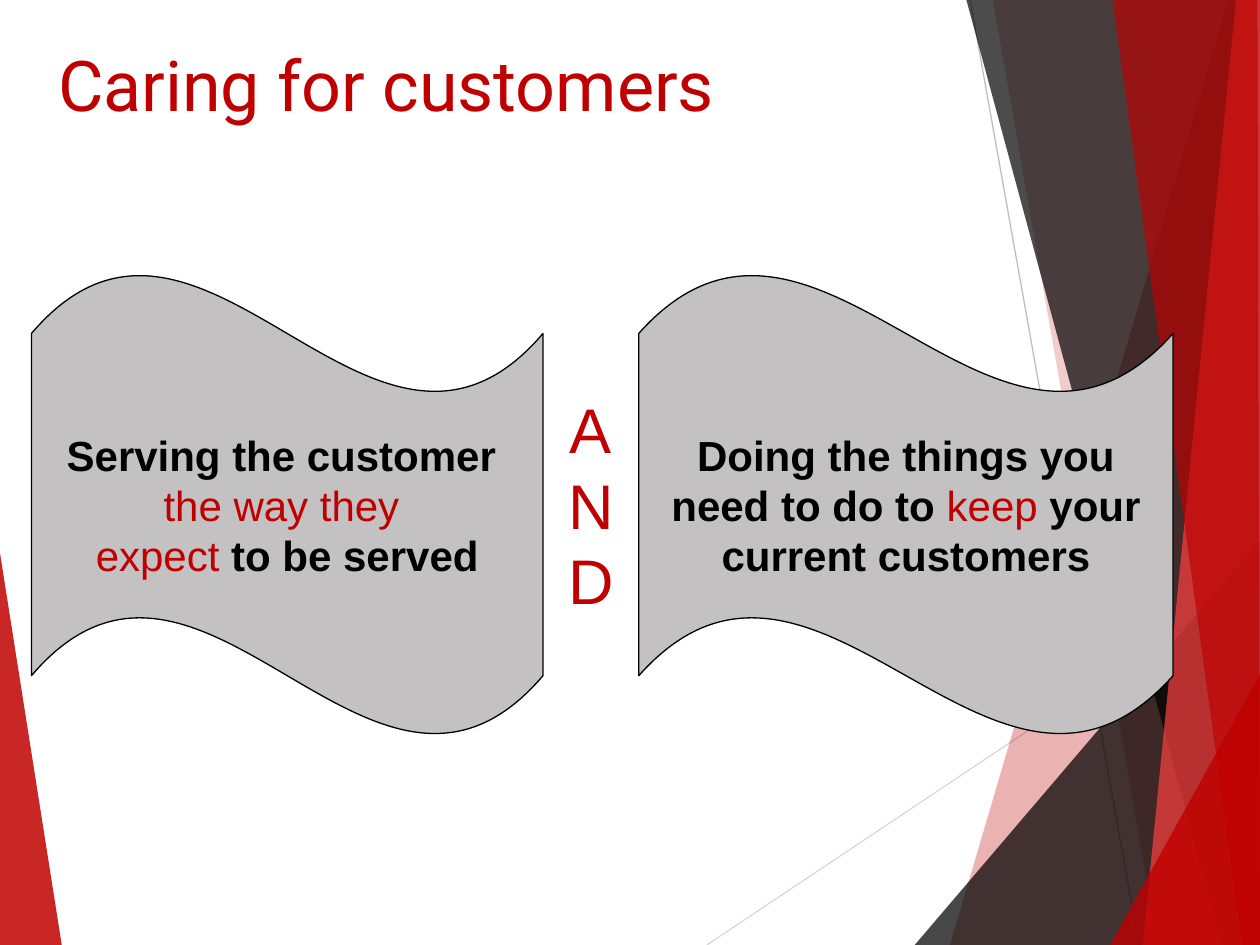
from dataclasses import dataclass

import pptx
import pptx.dml.color
import pptx.enum.shapes
import pptx.enum.text
import pptx.oxml
import pptx.oxml.ns
import pptx.util
from pptx.dml.color import RGBColor
from pptx.util import Inches

RED = RGBColor(0xC0, 0x00, 0x00)
BRIGHT_RED = RGBColor(0xFF, 0x40, 0x40)
BLACK = RGBColor(0x00, 0x00, 0x00)
SILVER = RGBColor(0xC3, 0xC1, 0xC1)
LIGHT_GREY = RGBColor(0xD9, 0xD9, 0xD9)
MID_GREY = RGBColor(0xBF, 0xBF, 0xBF)
W, H = 10, 7.5


@dataclass
class Facet:
    points: list[tuple[float, float]]
    color: RGBColor
    opacity: int


@dataclass
class Ray:
    start: tuple[float, float]
    end: tuple[float, float]
    color: RGBColor


@dataclass
class Run:
    text: str
    accent: bool = False


@dataclass
class Banner:
    left: float
    width: float
    paragraphs: list[list[Run]]
    wrap: bool


LEFT_FACET = Facet([(0, 4.39), (0.49, H), (0, H)], RED, 85)
RAYS = [
    Ray((5.61, H), (W, 4.57), LIGHT_GREY),
    Ray((7.7, 0), (9.04, H), MID_GREY),
]
RIGHT_FACETS = [
    Facet([(9.75, 0), (7.54, H), (W, H), (W, 0)], RED, 30),
    Facet([(7.88, 0), (9.19, H), (W, H), (W, 0)], RED, 20),
    Facet([(7.26, H), (W, 4.29), (W, H)], BLACK, 72),
    Facet([(7.67, 0), (9.7, H), (W, H), (W, 0)], BLACK, 70),
    Facet([(9.81, 0), (9.07, H), (W, H), (W, 0)], BRIGHT_RED, 70),
    Facet([(8.83, 0), (9.86, H), (W, H), (9.98, 0)], RED, 65),
    Facet([(8.81, H), (W, 5.35), (W, H)], RED, 80),
]
BANNERS = [
    Banner(0.25, 4.06, [
        [Run("Serving the customer \v"), Run("the way they ", True)],
        [Run("expect ", True), Run("to be served")],
    ], False),
    Banner(5.07, 4.24, [
        [Run("Doing the things you need to do to "), Run("keep ", True),
         Run("your current customers")],
    ], True),
]


def add_facet(s, facet: Facet) -> None:
    points = [(Inches(x), Inches(y)) for x, y in facet.points]
    builder = s.shapes.build_freeform(*points[0])
    builder.add_line_segments(points[1:], close=True)
    sp = builder.convert_to_shape()
    sp.shadow.inherit = False
    sp.line.fill.background()
    sp.fill.solid()
    sp.fill.fore_color.rgb = facet.color
    clr = sp._element.spPr.find(".//" + pptx.oxml.ns.qn("a:srgbClr"))
    clr.append(pptx.oxml.parse_xml(
        f'<a:alpha {pptx.oxml.ns.nsdecls("a")} val="{facet.opacity * 1000}"/>'))


def add_ray(s, ray: Ray) -> None:
    ends = [Inches(v) for v in ray.start + ray.end]
    line = s.shapes.add_connector(pptx.enum.shapes.MSO_CONNECTOR.STRAIGHT, *ends)
    line.line.color.rgb = ray.color
    line.line.width = pptx.util.Pt(0.75)
    line._element.spPr.append(
        pptx.oxml.parse_xml(f'<a:effectLst {pptx.oxml.ns.nsdecls("a")}/>'))


def add_run(p, text: str, *, size: float, color: RGBColor = RED,
            font: str = "Arial", bold: bool = False) -> None:
    """Add formatted text to a paragraph; a vertical tab is a line break."""
    for i, part in enumerate(text.split("\v")):
        if i:
            p.add_line_break()
        if part:
            r = p.add_run()
            r.text = part
            r.font.size = pptx.util.Pt(size)
            r.font.name = font
            r.font.bold = bold
            r.font.color.rgb = color


def add_label(s, left: float, top: float, width: float, height: float,
              text: str, *, middle: bool = False, **text_format) -> None:
    tf = s.shapes.add_textbox(Inches(left), Inches(top),
                              Inches(width), Inches(height)).text_frame
    tf.word_wrap = True
    if middle:
        tf.vertical_anchor = pptx.enum.text.MSO_ANCHOR.MIDDLE
    p = tf.paragraphs[0]
    p.alignment = pptx.enum.text.PP_ALIGN.CENTER
    add_run(p, text, **text_format)


def add_banner(s, banner: Banner) -> None:
    sp = s.shapes.add_shape(pptx.enum.shapes.MSO_SHAPE.WAVE, Inches(banner.left),
                            Inches(2.17), Inches(banner.width), Inches(3.67))
    sp.adjustments[0] = 0.13
    sp.adjustments[1] = 0
    sp.shadow.inherit = False
    sp.fill.solid()
    sp.fill.fore_color.rgb = SILVER
    sp.line.color.rgb = BLACK
    sp.line.width = pptx.util.Pt(0.75)
    tf = sp.text_frame
    tf.word_wrap = banner.wrap
    tf.vertical_anchor = pptx.enum.text.MSO_ANCHOR.MIDDLE
    for i, runs in enumerate(banner.paragraphs):
        p = tf.add_paragraph() if i else tf.paragraphs[0]
        p.alignment = pptx.enum.text.PP_ALIGN.CENTER
        for run in runs:
            add_run(p, run.text, size=24, color=RED if run.accent else BLACK,
                    bold=not run.accent)


def main() -> None:
    prs = pptx.Presentation()
    prs.slide_width, prs.slide_height = Inches(W), Inches(H)
    s = prs.slides.add_slide(prs.slide_layouts[6])
    add_facet(s, LEFT_FACET)
    for ray in RAYS:
        add_ray(s, ray)
    for facet in RIGHT_FACETS:
        add_facet(s, facet)
    add_label(s, 0.25, 0.25, 5.63, 0.83, "Caring for customers",
              middle=True, size=40, font="Roboto")
    for banner in BANNERS:
        add_banner(s, banner)
    add_label(s, 4.31, 3.05, 0.76, 1.9, "AND", size=36)
    prs.save("out.pptx")


if __name__ == "__main__":
    main()
